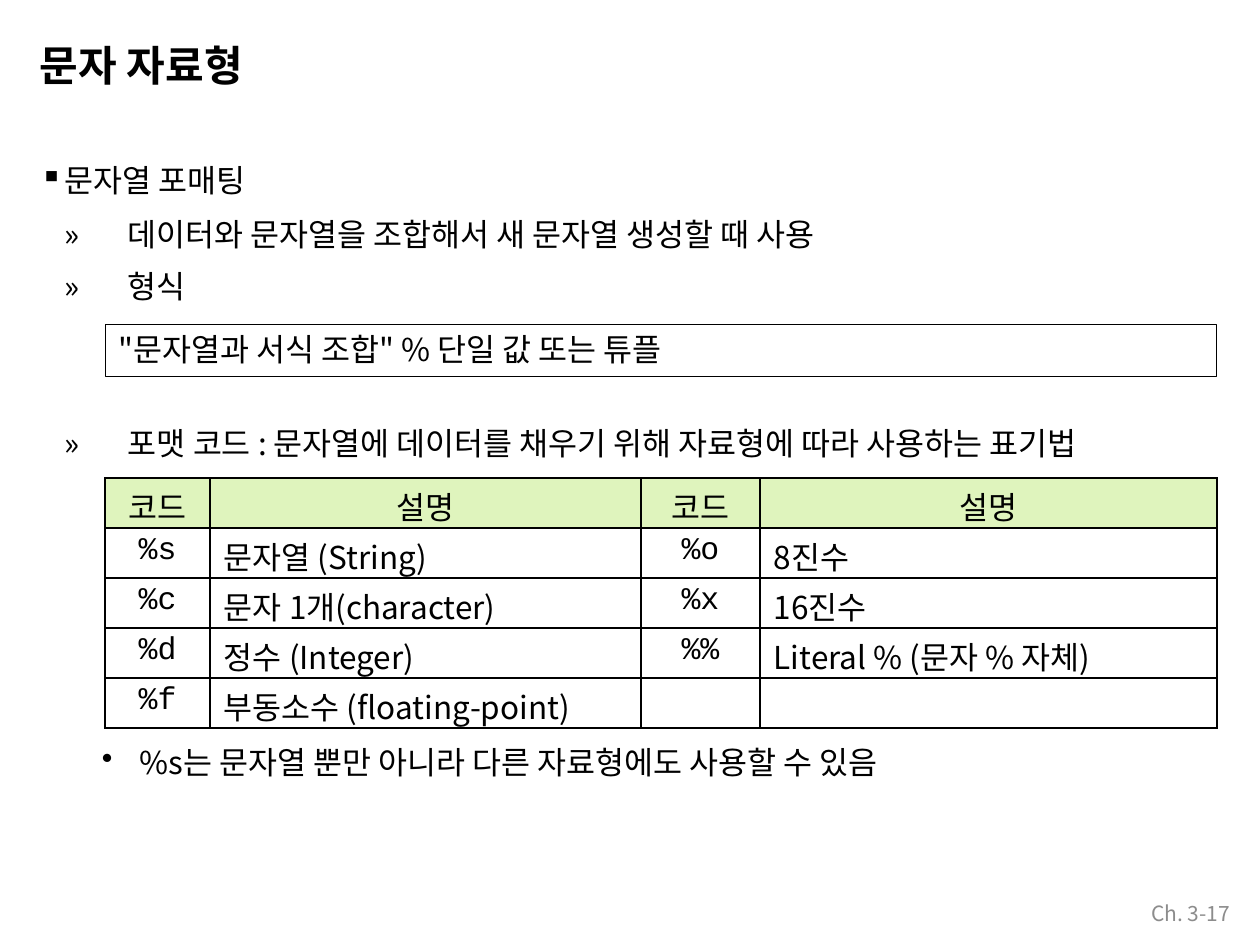
from dataclasses import dataclass
from typing import Optional

from lxml.etree import SubElement
from pptx import Presentation
from pptx.dml.color import RGBColor
from pptx.enum.shapes import MSO_SHAPE
from pptx.enum.text import MSO_ANCHOR, PP_ALIGN
from pptx.oxml.ns import qn
from pptx.util import Emu, Pt

PX_PER_INCH = 126


def px(length: int) -> Emu:
    return Emu(round(length * 914400 / PX_PER_INCH))


@dataclass(frozen=True)
class Theme:
    font: str = "Noto Sans CJK KR"
    code_font: str = "Courier New"
    ink: RGBColor = RGBColor(0, 0, 0)
    muted: RGBColor = RGBColor(0x8C, 0x8C, 0x8C)
    header: RGBColor = RGBColor(0xDF, 0xF4, 0xBD)
    title_size: int = 24
    body_size: int = 18
    footer_size: int = 12
    box_line: float = 0.6
    grid_line: int = 1


THEME = Theme()


@dataclass(frozen=True)
class Line:
    text: str
    size: int = THEME.body_size
    font: str = THEME.font
    color: RGBColor = THEME.ink
    bold: bool = False
    align: PP_ALIGN = PP_ALIGN.LEFT
    left: int = 0
    indent: int = 0
    before: float = 0
    bullet: Optional[str] = None
    tab: Optional[int] = None


@dataclass(frozen=True)
class Block:
    left: int
    top: int
    width: int
    height: int
    lines: tuple[Line, ...]
    inset_top: int = 1
    anchor: MSO_ANCHOR = MSO_ANCHOR.TOP


def write_line(paragraph, line: Line) -> None:
    paragraph.text = line.text
    paragraph.alignment = line.align
    props = paragraph._p.get_or_add_pPr()
    props.set("marL", str(px(line.left)))
    props.set("indent", str(px(line.indent)))
    if line.bullet:
        SubElement(props, qn("a:buChar"), char=line.bullet)
    else:
        SubElement(props, qn("a:buNone"))
    if line.tab:
        tabs = SubElement(props, qn("a:tabLst"))
        SubElement(tabs, qn("a:tab"), pos=str(px(line.tab)), algn="l")
    if line.before:
        paragraph.space_before = Pt(line.before)
    font = paragraph.font
    font.size = Pt(line.size)
    font.bold = line.bold
    font.color.rgb = line.color
    font.name = line.font
    SubElement(props.find(qn("a:defRPr")), qn("a:ea"), typeface=line.font)


def fill_frame(frame, block: Block) -> None:
    frame.word_wrap = True
    frame.vertical_anchor = block.anchor
    frame.margin_left = frame.margin_right = frame.margin_bottom = 0
    frame.margin_top = px(block.inset_top)
    for index, line in enumerate(block.lines):
        paragraph = frame.add_paragraph() if index else frame.paragraphs[0]
        write_line(paragraph, line)


def bounds(block: Block) -> tuple[Emu, ...]:
    return tuple(px(n) for n in (block.left, block.top, block.width, block.height))


def add_text(slide, block: Block) -> None:
    fill_frame(slide.shapes.add_textbox(*bounds(block)).text_frame, block)


def add_syntax_box(slide, block: Block) -> None:
    box = slide.shapes.add_shape(MSO_SHAPE.RECTANGLE, *bounds(block))
    box.shadow.inherit = False
    box.fill.background()
    box.line.color.rgb = THEME.ink
    box.line.width = Pt(THEME.box_line)
    fill_frame(box.text_frame, block)


def draw_borders(cell) -> None:
    props = cell._tc.get_or_add_tcPr()
    for index, side in enumerate(("lnL", "lnR", "lnT", "lnB")):
        border = props.makeelement(qn(f"a:{side}"), {"w": str(Pt(THEME.grid_line))})
        paint = SubElement(border, qn("a:solidFill"))
        SubElement(paint, qn("a:srgbClr"), val=str(THEME.ink))
        props.insert(index, border)


def add_code_table(slide, left: int, top: int, columns: tuple[int, ...],
                   row_height: int, rows: tuple[tuple[str, ...], ...]) -> None:
    table = slide.shapes.add_table(
        len(rows), len(columns), px(left), px(top),
        px(sum(columns)), px(row_height * len(rows))).table
    table.first_row = table.horz_banding = False
    for column, width in zip(table.columns, columns):
        column.width = px(width)
    for r, row in enumerate(rows):
        table.rows[r].height = px(row_height)
        for c, text in enumerate(row):
            cell = table.cell(r, c)
            cell.margin_left = cell.margin_right = cell.margin_bottom = 0
            cell.margin_top = px(5)
            is_header, is_code = r == 0, c % 2 == 0
            if is_header:
                cell.fill.solid()
                cell.fill.fore_color.rgb = THEME.header
            else:
                cell.fill.background()
            draw_borders(cell)
            centred = is_header or is_code
            write_line(cell.text_frame.paragraphs[0], Line(
                text,
                font=THEME.code_font if is_code and not is_header else THEME.font,
                align=PP_ALIGN.CENTER if centred else PP_ALIGN.LEFT,
                left=0 if centred else 14))


TITLE = Block(39, 39, 228, 54, (
    Line("문자 자료형", size=THEME.title_size, bold=True, left=1),))
FORMATTING = Block(39, 144, 835, 164, (
    Line("문자열 포매팅", left=26, indent=-25, bullet="▪", tab=26),
    Line("»\t데이터와 문자열을 조합해서 새 문자열 생성할 때 사용",
         left=26, before=9, tab=63),
    Line("»\t형식", left=26, before=8.4, tab=63)), inset_top=17)
SYNTAX = Block(106, 325, 1111, 52, (
    Line("\"문자열과 서식 조합\" % 단일 값 또는 튜플", left=13),), inset_top=5)
FORMAT_CODES = Block(64, 423, 1104, 42, (
    Line("»\t포맷 코드 : 문자열에 데이터를 채우기 위해 자료형에 따라 사용하는 표기법",
         left=1, tab=38),))
CODE_NOTE = Block(101, 742, 864, 42, (
    Line("%s는 문자열 뿐만 아니라 다른 자료형에도 사용할 수 있음",
         left=39, indent=-38, bullet="•", tab=39),))
PAGE_NUMBER = Block(1109, 901, 121, 25, (
    Line("Ch. 3-17", size=THEME.footer_size, color=THEME.muted,
         align=PP_ALIGN.RIGHT),), inset_top=0, anchor=MSO_ANCHOR.MIDDLE)
CODE_ROWS = (
    ("코드", "설명", "코드", "설명"),
    ("%s", "문자열 (String)", "%o", "8진수"),
    ("%c", "문자 1개(character)", "%x", "16진수"),
    ("%d", "정수 (Integer)", "%%", "Literal % (문자 % 자체)"),
    ("%f", "부동소수 (floating-point)", "", ""),
)


def main() -> None:
    deck = Presentation()
    deck.slide_width, deck.slide_height = px(1260), px(945)
    slide = deck.slides.add_slide(deck.slide_layouts[6])

    # Heading, explanations and page number
    for block in (TITLE, FORMATTING, FORMAT_CODES, CODE_NOTE, PAGE_NUMBER):
        add_text(slide, block)

    # Syntax and table of format codes
    add_syntax_box(slide, SYNTAX)
    add_code_table(slide, 105, 478, (105, 431, 119, 457), 50, CODE_ROWS)

    deck.save("out.pptx")


if __name__ == "__main__":
    main()
